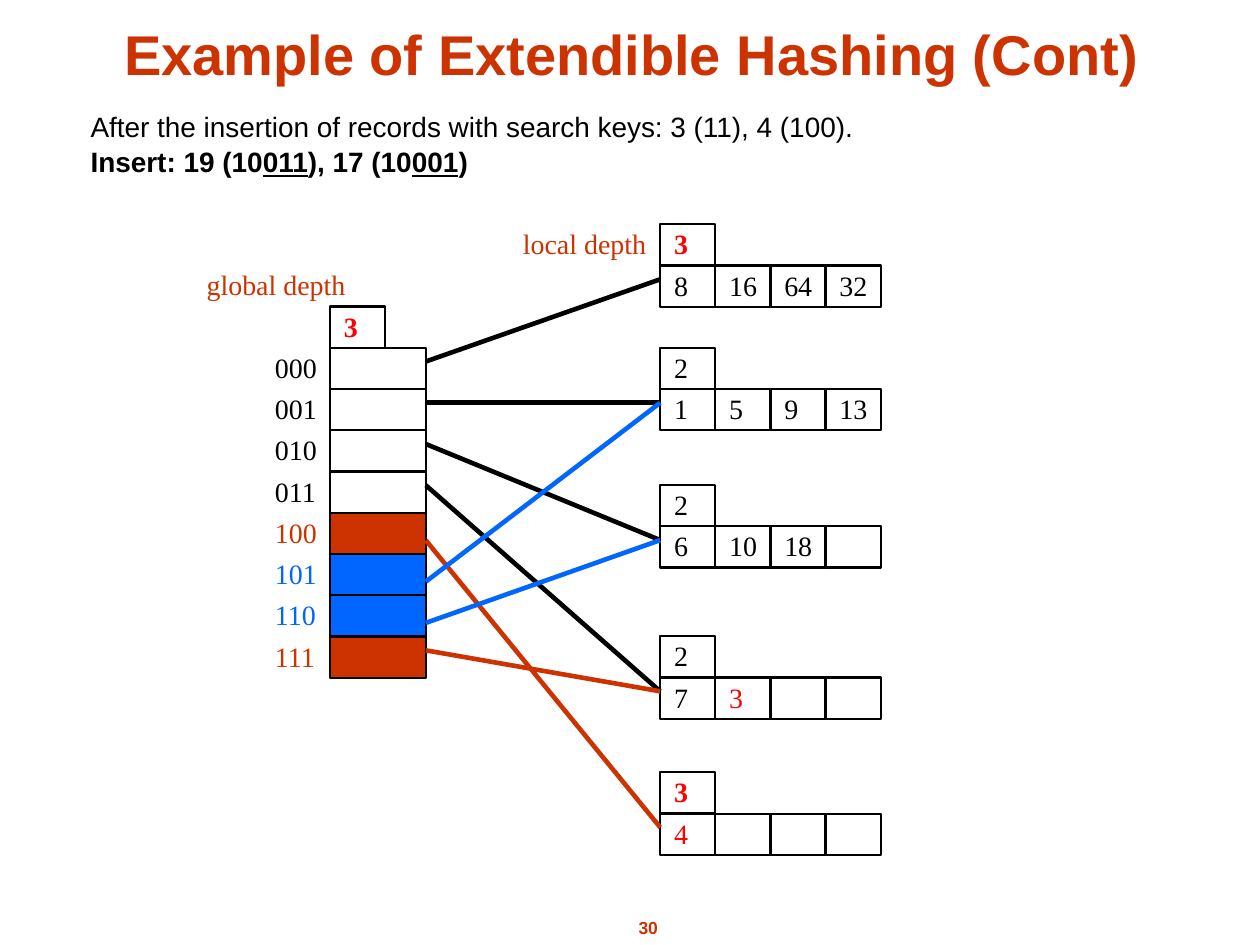
"""Build the extendible hashing example slide."""
from lxml.etree import SubElement
from pptx import Presentation
from pptx.dml.color import RGBColor
from pptx.enum.shapes import MSO_CONNECTOR, MSO_SHAPE
from pptx.enum.text import MSO_ANCHOR, MSO_AUTO_SIZE, PP_ALIGN
from pptx.oxml.ns import qn
from pptx.util import Inches, Pt

BLACK = RGBColor(0x00, 0x00, 0x00)
WHITE = RGBColor(0xFF, 0xFF, 0xFF)
RUST = RGBColor(0xCC, 0x33, 0x00)
BLUE = RGBColor(0x00, 0x66, 0xFF)
RED = RGBColor(0xFF, 0x00, 0x00)
SANS, SERIF = "Arial", "Times New Roman"

TITLE = "Example of Extendible Hashing (Cont)"
PAGE = "30"
INTRO = [
    [("After the insertion of records with search keys: 3 (11), 4 (100).", {})],
    [("Insert: 19 (10", {"bold": True}),
     ("011", {"bold": True, "underline": True}),
     ("), 17 (10", {"bold": True}),
     ("001", {"bold": True, "underline": True}),
     (")", {"bold": True})],
]
GLOBAL_DEPTH = "3"
DIRECTORY = [
    ("000", 0, BLACK), ("001", 1, BLACK), ("010", 2, BLACK), ("011", 3, BLACK),
    ("100", 4, RUST), ("101", 1, BLUE), ("110", 2, BLUE), ("111", 3, RUST),
]
BUCKETS = [
    (1.78, "3", ["8", "16", "64", "32"]),
    (2.76, "2", ["1", "5", "9", "13"]),
    (3.85, "2", ["6", "10", "18", ""]),
    (5.05, "2", ["7", "3", "", ""]),
    (6.13, "3", ["4", "", "", ""]),
]
NEW_KEYS = {"3", "4"}
FULL_DEPTH = {"color": RED, "bold": True}

DIR_LEFT, DIR_TOP, DIR_WIDTH, DIR_HEIGHT = 2.62, 2.76, 0.76, 2.62
BUCKET_LEFT, BUCKET_WIDTH = 5.24, 1.75
ROW = DIR_HEIGHT / len(DIRECTORY)
COL = BUCKET_WIDTH / 4
PAD = COL / 4
LABEL_HEIGHT = 0.27
LIFT = 0.02

prs = Presentation()
prs.slide_width, prs.slide_height = Inches(10), Inches(7.5)
s = prs.slides.add_slide(prs.slide_layouts[6])


def add_run(p, text, size=16, name=SERIF, color=BLACK, **fmt):
    r = p.add_run()
    r.text = text
    r.font.color.rgb = color
    for key, value in {"size": Pt(size), "name": name, **fmt}.items():
        setattr(r.font, key, value)


def add_box(left, top, width, height, wrap=False, inset=(0, 0), **fmt):
    sp = s.shapes.add_textbox(*map(Inches, (left, top, width, height)))
    tf = sp.text_frame
    tf.word_wrap = wrap
    tf.margin_left = tf.margin_right = Inches(inset[0])
    tf.margin_top = tf.margin_bottom = Inches(inset[1])
    for key, value in fmt.items():
        setattr(tf, key, value)
    return tf


def add_label(text, left, top, width, color):
    tf = add_box(left, top + LIFT, width, LABEL_HEIGHT,
                 auto_size=MSO_AUTO_SIZE.SHAPE_TO_FIT_TEXT)
    add_run(tf.paragraphs[0], text, color=color)


def add_cell(left, top, width, fill=WHITE, text="", **fmt):
    sp = s.shapes.add_shape(MSO_SHAPE.RECTANGLE,
                            *map(Inches, (left, top, width, ROW)))
    sp.shadow.inherit = False
    sp.fill.solid()
    sp.fill.fore_color.rgb = fill
    sp.line.color.rgb = BLACK
    sp.line.width = Pt(1.25)
    if text:
        tf = sp.text_frame
        tf.margin_left = Inches(PAD)
        tf.margin_bottom = Inches(LIFT)
        tf.margin_right = tf.margin_top = 0
        tf.vertical_anchor = MSO_ANCHOR.MIDDLE
        tf.word_wrap = False
        p = tf.paragraphs[0]
        p.alignment = PP_ALIGN.LEFT
        add_run(p, text, **fmt)


def add_pointer(x1, y1, x2, y2, color):
    line = s.shapes.add_connector(MSO_CONNECTOR.STRAIGHT,
                                  *map(Inches, (x1, y1, x2, y2)))
    line.line.color.rgb = color
    line.line.width = Pt(2.64)
    SubElement(line._element.spPr, qn("a:effectLst"))


def add_centred(text, size, *place, **fmt):
    tf = add_box(*place, inset=(0.1, 0.05), **fmt)
    p = tf.paragraphs[0]
    p.alignment = PP_ALIGN.CENTER
    add_run(p, text, size, SANS, RUST, bold=True)


add_centred(PAGE, 10, 4.71, 7.23, 0.87, 0.27)
add_centred(TITLE, 32, 0.6, 0.07, 8.83, 0.67, wrap=True,
            vertical_anchor=MSO_ANCHOR.BOTTOM)

tf = add_box(0.62, 0.89, 8.58, 0.62, wrap=True, inset=(0.1, 0.05))
for i, runs in enumerate(INTRO):
    p = tf.add_paragraph() if i else tf.paragraphs[0]
    p.line_spacing = 0.7
    p.space_before = Pt(7 if i else 0)
    for text, fmt in runs:
        add_run(p, text, name=SANS, **fmt)

add_label("global depth", 1.64, DIR_TOP - 2 * ROW, 1.11, RUST)
add_label("local depth", 4.15, BUCKETS[0][0], 0.99, RUST)
add_cell(DIR_LEFT, DIR_TOP - ROW, COL, text=GLOBAL_DEPTH, **FULL_DEPTH)
for i, (prefix, _, color) in enumerate(DIRECTORY):
    top = DIR_TOP + i * ROW
    add_label(prefix, DIR_LEFT - COL, top, 0.34, color)
    add_cell(DIR_LEFT, top, DIR_WIDTH, WHITE if color == BLACK else color)

for top, depth, keys in BUCKETS:
    add_cell(BUCKET_LEFT, top, COL, text=depth,
             **(FULL_DEPTH if depth == GLOBAL_DEPTH else {}))
    for i, key in enumerate(keys):
        add_cell(BUCKET_LEFT + i * COL, top + ROW, COL, text=key,
                 color=RED if key in NEW_KEYS else BLACK)

for i, (_, bucket, color) in enumerate(DIRECTORY):
    share = 2 / 3 if i in (4, 5, 6) else 1 / 3
    add_pointer(DIR_LEFT + DIR_WIDTH, DIR_TOP + (i + share) * ROW,
                BUCKET_LEFT, BUCKETS[bucket][0] + ROW * 4 / 3, color)

prs.save("out.pptx")
